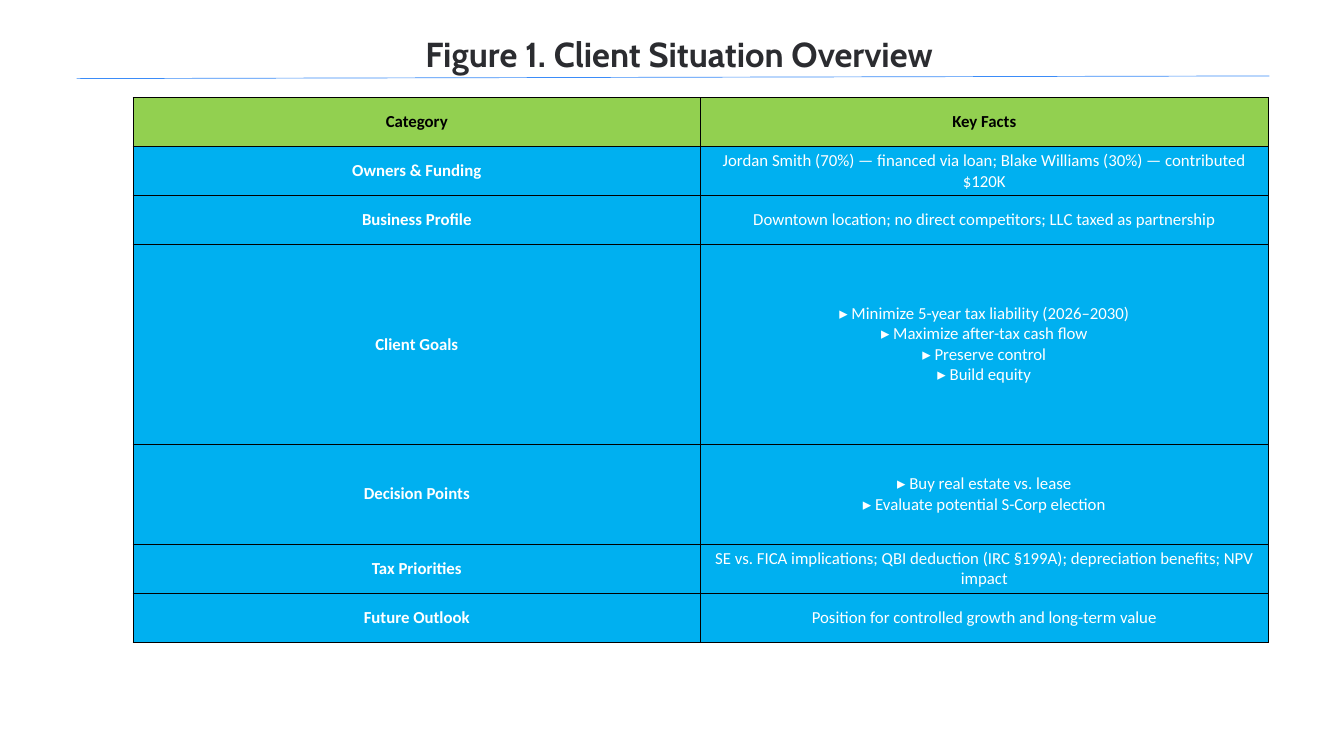
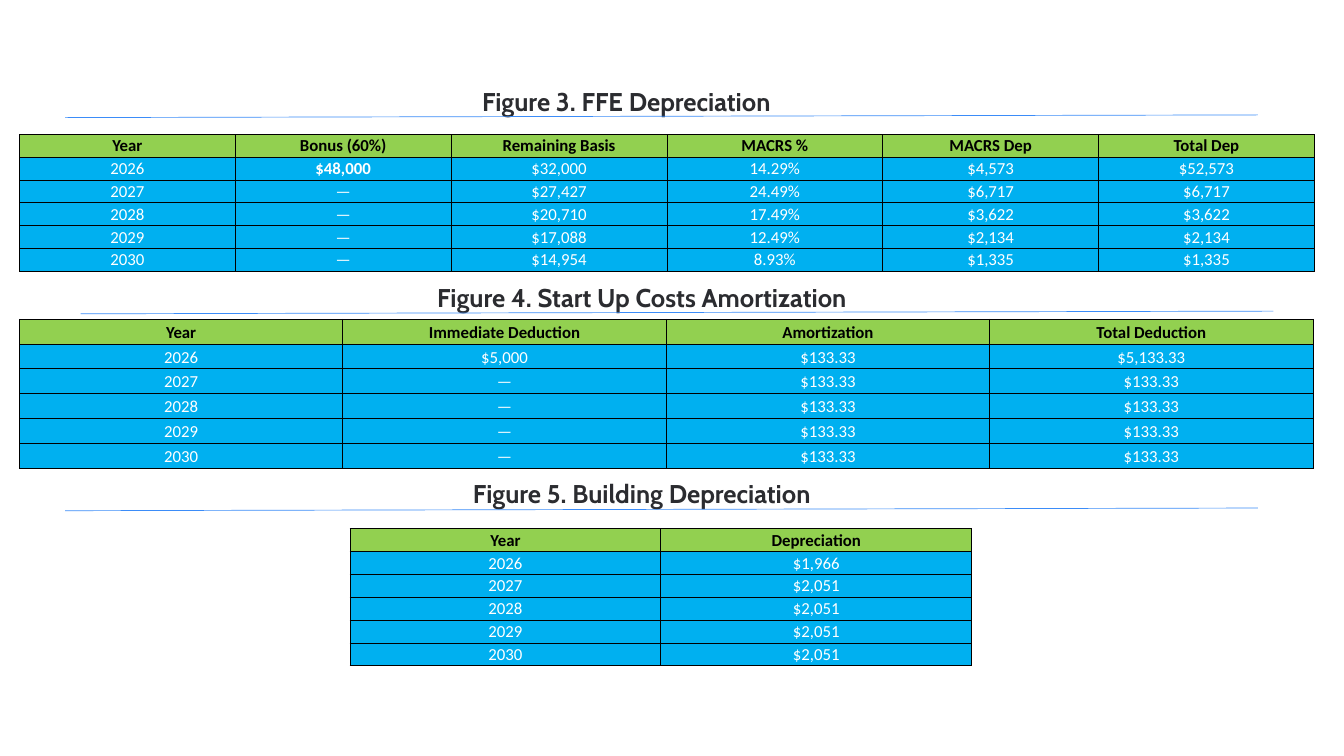
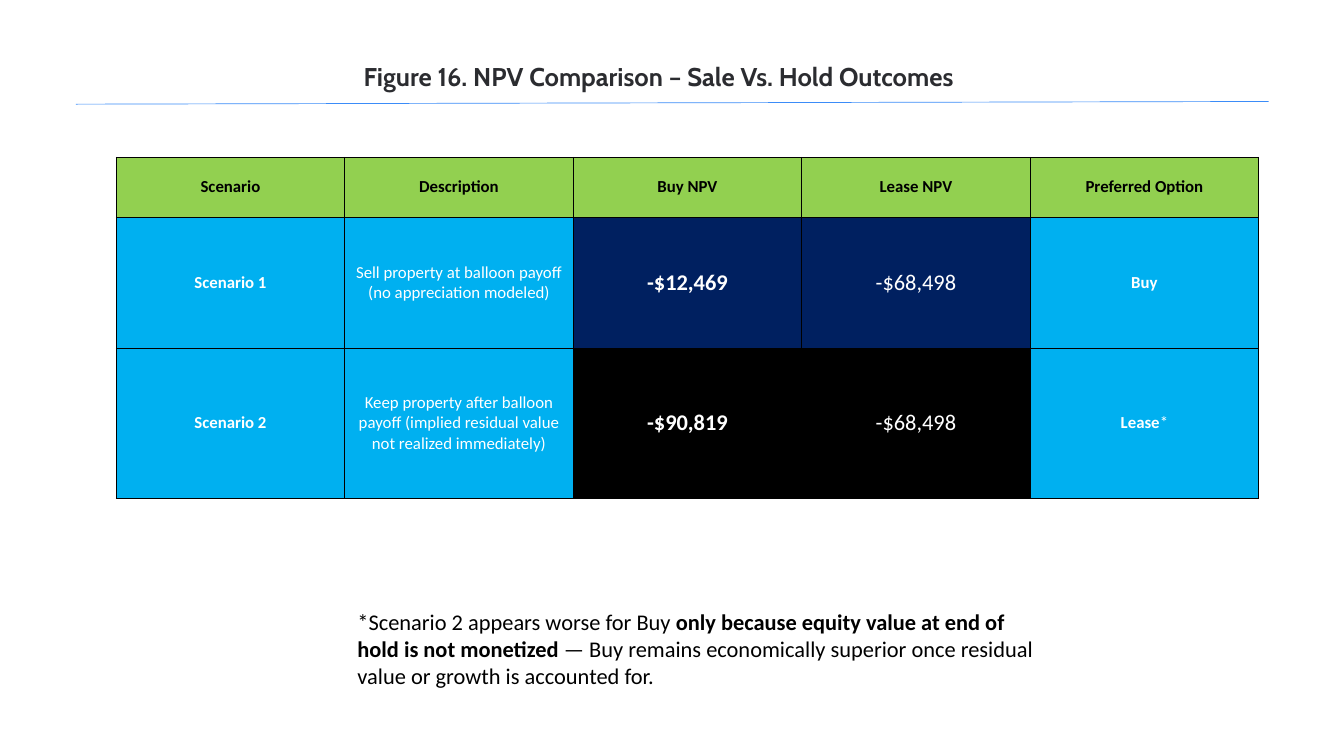
from dataclasses import dataclass

from lxml import etree
from pptx import Presentation
from pptx import util as u
from pptx.dml.color import RGBColor
from pptx.enum import shapes, text
from pptx.oxml import ns


@dataclass(frozen=True)
class Theme:
    title_font: str = "Cabin"
    body_font: str = "Calibri"
    title_color: str = "2B2C30"
    rule_color: str = "3B8CF8"
    header_fill: str = "92D050"
    body_fill: str = "00B0F0"
    sale_fill: str = "002060"
    hold_fill: str = "000000"
    dark: str = "000000"
    light: str = "FFFFFF"
    table_size: float = 18
    large_size: float = 24


THEME = Theme()
CENTER = text.PP_ALIGN.CENTER
MIDDLE = text.MSO_ANCHOR.MIDDLE
BOTTOM = text.MSO_ANCHOR.BOTTOM
RULE_WIDTH, RULE_RISE = 17.75, 0.04

# Text between double asterisks is bold; a line break starts a new paragraph.
YEARS = ["2026", "2027", "2028", "2029", "2030"]
FIRST_YEAR_ONLY = ["—"] * 4

FFE_COLUMNS = {
    "Year": YEARS,
    "Bonus (60%)": ["**$48,000**"] + FIRST_YEAR_ONLY,
    "Remaining Basis": ["$32,000", "$27,427", "$20,710", "$17,088", "$14,954"],
    "MACRS %": ["14.29%", "24.49%", "17.49%", "12.49%", "8.93%"],
    "MACRS Dep": ["$4,573", "$6,717", "$3,622", "$2,134", "$1,335"],
    "Total Dep": ["$52,573", "$6,717", "$3,622", "$2,134", "$1,335"],
}
START_UP_COLUMNS = {
    "Year": YEARS,
    "Immediate Deduction": ["$5,000"] + FIRST_YEAR_ONLY,
    "Amortization": ["$133.33"] * 5,
    "Total Deduction": ["$5,133.33"] + ["$133.33"] * 4,
}
BUILDING_COLUMNS = {
    "Year": YEARS,
    "Depreciation": ["$1,966"] + ["$2,051"] * 4,
}


def rows_from_columns(columns):
    return [tuple(columns), *zip(*columns.values())]


SMALL_TITLE = {"size": 27.5, "spacing": 39.2, "align": CENTER}
CLOSE_CELLS = {"anchor": BOTTOM, "margins": (0.03, 0.02)}

SLIDES = [
    {
        "figures": [{
            "title": {"text": "Figure 1. Client Situation Overview",
                      "box": (6.33, 0.38, 8.83, 0.71),
                      "size": 37.1, "spacing": 52, "align": text.PP_ALIGN.LEFT},
            "rule": (1.14, 1.17),
            "table": {
                "place": (1.98, 1.45, 16.89),
                "heights": [0.73, 0.73, 0.73, 2.97, 1.49, 0.73, 0.73],
                "margins": (0, 0),
                "rows": [
                    ("Category", "Key Facts"),
                    ("**Owners & Funding**",
                     "Jordan Smith (70%) — financed via loan; Blake Williams (30%) — contributed $120K"),
                    ("**Business Profile**",
                     "Downtown location; no direct competitors; LLC taxed as partnership"),
                    ("**Client Goals**",
                     "▸ Minimize 5-year tax liability (2026–2030)\n"
                     "▸ Maximize after-tax cash flow\n"
                     "▸ Preserve control\n"
                     "▸ Build equity"),
                    ("**Decision Points**",
                     "▸ Buy real estate vs. lease\n"
                     "▸ Evaluate potential S-Corp election"),
                    ("**Tax Priorities**",
                     "SE vs. FICA implications; QBI deduction (IRC §199A); depreciation benefits; NPV impact"),
                    ("**Future Outlook**", "Position for controlled growth and long-term value"),
                ],
            },
        }],
    },
    {
        "figures": [
            {
                "title": {"text": "Figure 3. FFE Depreciation",
                          "box": (3.51, 1.19, 11.62, 0.5), **SMALL_TITLE},
                "rule": (0.97, 1.75),
                "table": {"place": (0.29, 2, 19.27), "heights": [0.34] * 6,
                          "rows": rows_from_columns(FFE_COLUMNS), **CLOSE_CELLS},
            },
            {
                "title": {"text": "Figure 4. Start Up Costs Amortization",
                          "box": (3.74, 4.11, 11.62, 0.5), **SMALL_TITLE},
                "rule": (1.2, 4.67),
                "table": {"place": (0.29, 4.75, 19.25), "heights": [0.37] * 6,
                          "rows": rows_from_columns(START_UP_COLUMNS), **CLOSE_CELLS},
            },
            {
                "title": {"text": "Figure 5. Building Depreciation",
                          "box": (3.74, 7.02, 11.62, 0.5), **SMALL_TITLE},
                "rule": (0.97, 7.6),
                "table": {"place": (5.21, 7.87, 9.25), "heights": [0.34] * 6,
                          "rows": rows_from_columns(BUILDING_COLUMNS), **CLOSE_CELLS},
            },
        ],
    },
    {
        "figures": [{
            "title": {"text": "Figure 16. NPV Comparison – Sale Vs. Hold Outcomes",
                      "box": (3.99, 0.82, 11.62, 0.51), **SMALL_TITLE},
            "rule": (1.13, 1.55),
            "table": {
                "place": (1.73, 2.34, 17),
                "heights": [0.89, 1.95, 2.23],
                "margins": (0.1, 0.05),
                "rows": [
                    ("Scenario", "Description", "Buy NPV", "Lease NPV", "Preferred Option"),
                    ("**Scenario 1**", "Sell property at balloon payoff (no appreciation modeled)",
                     "**-$12,469**", "-$68,498", "**Buy**"),
                    ("**Scenario 2**",
                     "Keep property after balloon payoff (implied residual value not realized immediately)",
                     "**-$90,819**", "-$68,498", "**Lease***"),
                ],
                "highlights": {(1, 2): THEME.sale_fill, (1, 3): THEME.sale_fill,
                               (2, 2): THEME.hold_fill, (2, 3): THEME.hold_fill},
            },
        }],
        "note": {
            "box": (5.22, 9, 10.38, 1.62),
            "text": "*Scenario 2 appears worse for Buy **only because equity value at end of hold "
                    "is not monetized** — Buy remains economically superior once residual value "
                    "or growth is accounted for.",
        },
    },
]


def inches(*values):
    return [u.Inches(value) for value in values]


def write_text(frame, content, font, size, color, align=None, spacing=None):
    """Fill a text frame, turning **marked** parts into bold runs."""
    for index, line in enumerate(content.split("\n")):
        paragraph = frame.paragraphs[0] if index == 0 else frame.add_paragraph()
        paragraph.alignment = align
        if spacing:
            paragraph.line_spacing = u.Pt(spacing)
        for position, part in enumerate(line.split("**")):
            if not part:
                continue
            run = paragraph.add_run()
            run.text = part
            run.font.name = font
            run.font.size = u.Pt(size)
            run.font.bold = position % 2 == 1
            run.font.color.rgb = RGBColor.from_string(color)


def add_text_box(slide, box, margins=(0.1, 0.05)):
    frame = slide.shapes.add_textbox(*inches(*box)).text_frame
    frame.word_wrap = True
    frame.auto_size = text.MSO_AUTO_SIZE.SHAPE_TO_FIT_TEXT
    set_margins(frame, margins)
    return frame


def set_margins(target, margins):
    horizontal, vertical = inches(*margins)
    target.margin_left = target.margin_right = horizontal
    target.margin_top = target.margin_bottom = vertical


def add_title(slide, title):
    frame = add_text_box(slide, title["box"], (0, 0))
    write_text(frame, f"**{title['text']}**", THEME.title_font, title["size"],
               THEME.title_color, title["align"], title["spacing"])


def add_rule(slide, left, top):
    """Draw the slightly rising line under a title."""
    rule = slide.shapes.add_connector(
        shapes.MSO_CONNECTOR.STRAIGHT,
        *inches(left, top, left + RULE_WIDTH, top - RULE_RISE))
    rule.line.color.rgb = RGBColor.from_string(THEME.rule_color)
    rule.line.width = u.Pt(0.75)
    etree.SubElement(rule._element.spPr, ns.qn("a:effectLst"))


def add_borders(cell):
    properties = cell._tc.get_or_add_tcPr()
    for side in ("lnL", "lnR", "lnT", "lnB"):
        line = etree.SubElement(properties, ns.qn(f"a:{side}"), w=str(u.Pt(1)))
        fill = etree.SubElement(line, ns.qn("a:solidFill"))
        etree.SubElement(fill, ns.qn("a:srgbClr"), val=THEME.dark)


def add_table(slide, place, heights, rows, margins, anchor=MIDDLE, highlights=None):
    highlights = highlights or {}
    left, top, width = place
    table = slide.shapes.add_table(
        len(rows), len(rows[0]), *inches(left, top, width, sum(heights))).table
    table.first_row = table.horz_banding = False
    for column in table.columns:
        column.width = u.Inches(width / len(rows[0]))
    for row_index, (height, row) in enumerate(zip(heights, rows)):
        table.rows[row_index].height = u.Inches(height)
        is_header = row_index == 0
        for column_index, content in enumerate(row):
            cell = table.cell(row_index, column_index)
            highlight = highlights.get((row_index, column_index))
            set_margins(cell, margins)
            cell.vertical_anchor = anchor
            add_borders(cell)
            cell.fill.solid()
            cell.fill.fore_color.rgb = RGBColor.from_string(
                highlight or (THEME.header_fill if is_header else THEME.body_fill))
            write_text(cell.text_frame, f"**{content}**" if is_header else content,
                       THEME.body_font,
                       THEME.large_size if highlight else THEME.table_size,
                       THEME.dark if is_header else THEME.light, CENTER)


def main():
    presentation = Presentation()
    presentation.slide_width, presentation.slide_height = inches(20, 11.25)
    for content in SLIDES:
        slide = presentation.slides.add_slide(presentation.slide_layouts[6])
        for figure in content["figures"]:
            add_title(slide, figure["title"])
            add_rule(slide, *figure["rule"])
            add_table(slide, **figure["table"])
        if "note" in content:
            note = content["note"]
            write_text(add_text_box(slide, note["box"]), note["text"],
                       THEME.body_font, THEME.large_size, THEME.dark)
    presentation.save("out.pptx")


if __name__ == "__main__":
    main()
